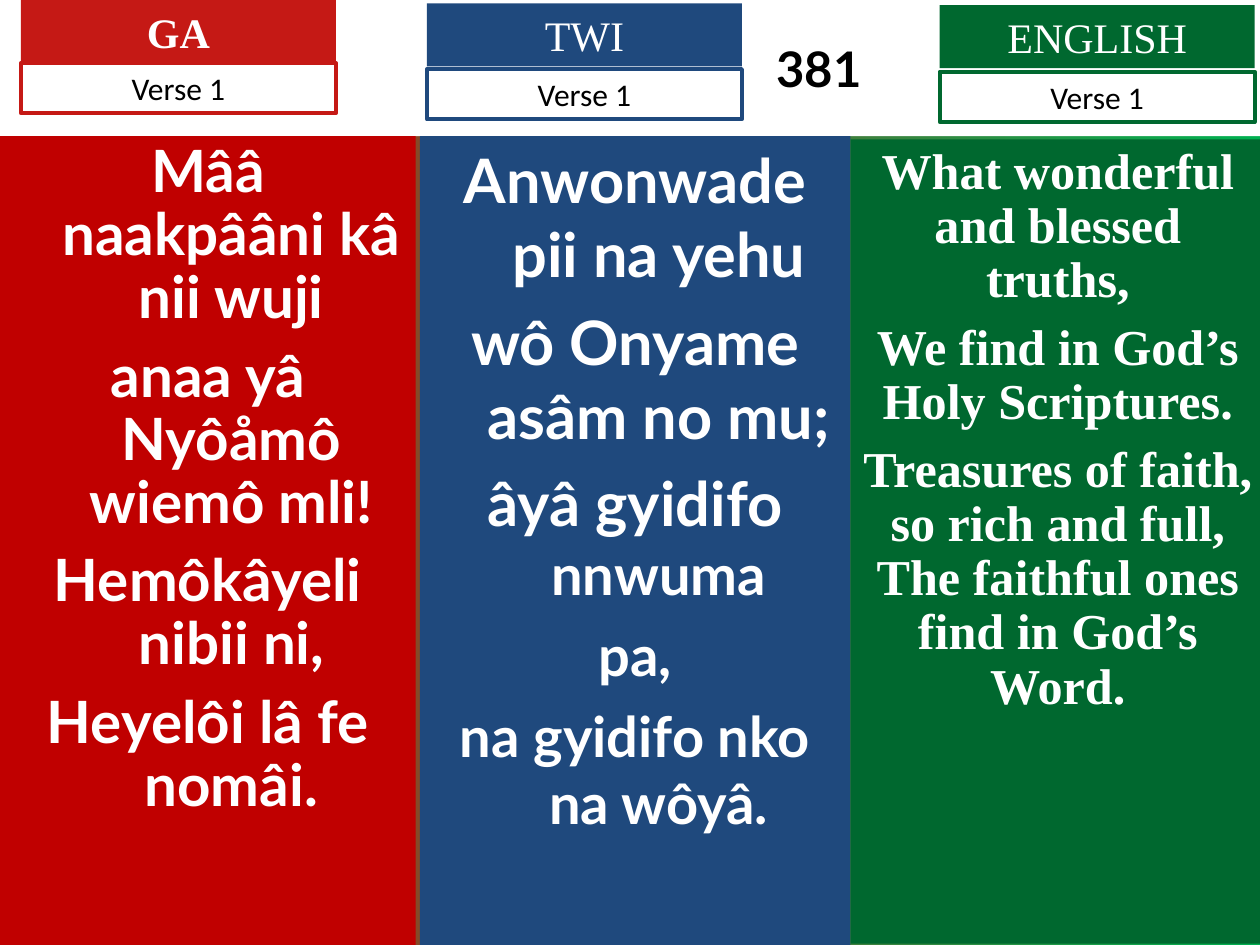
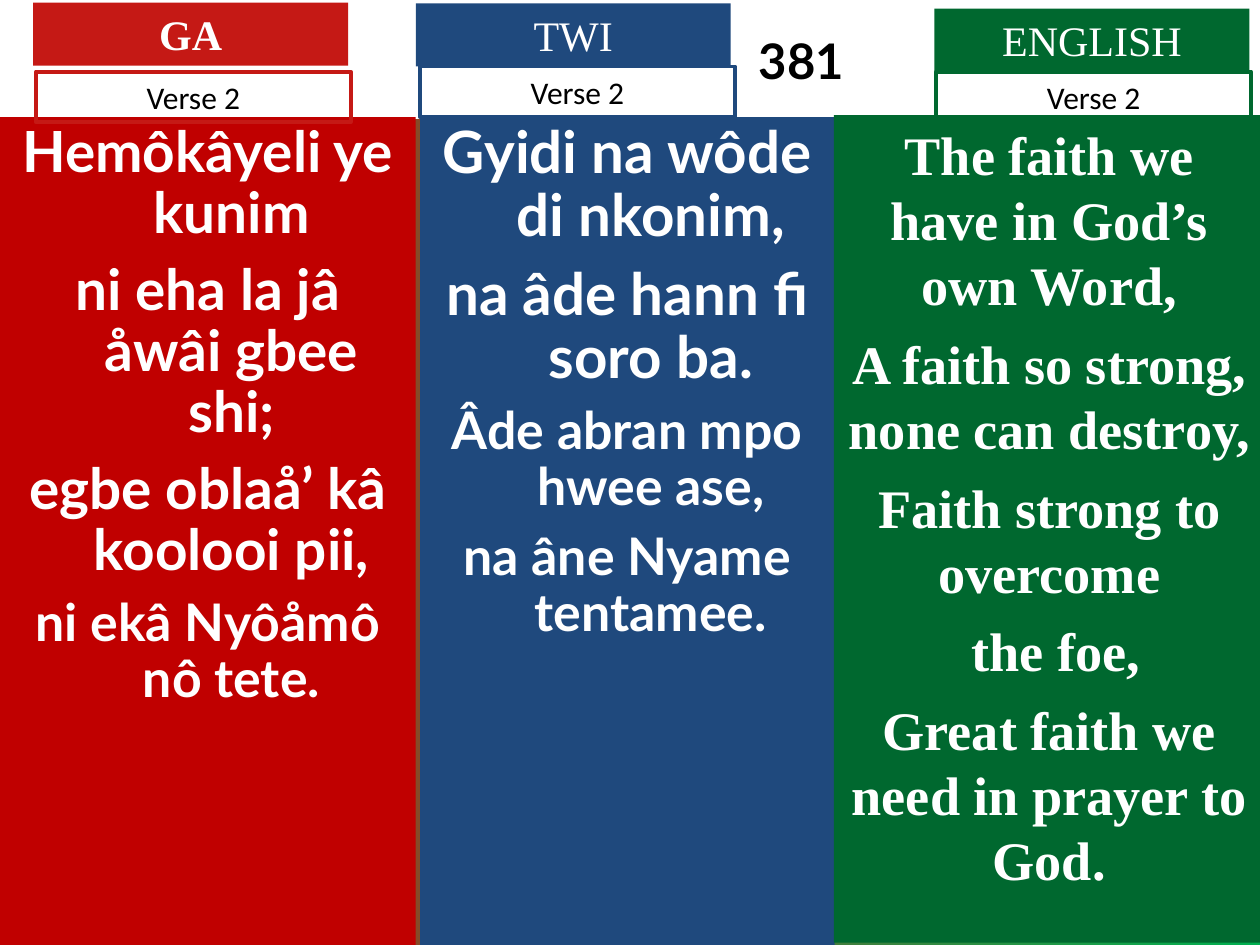
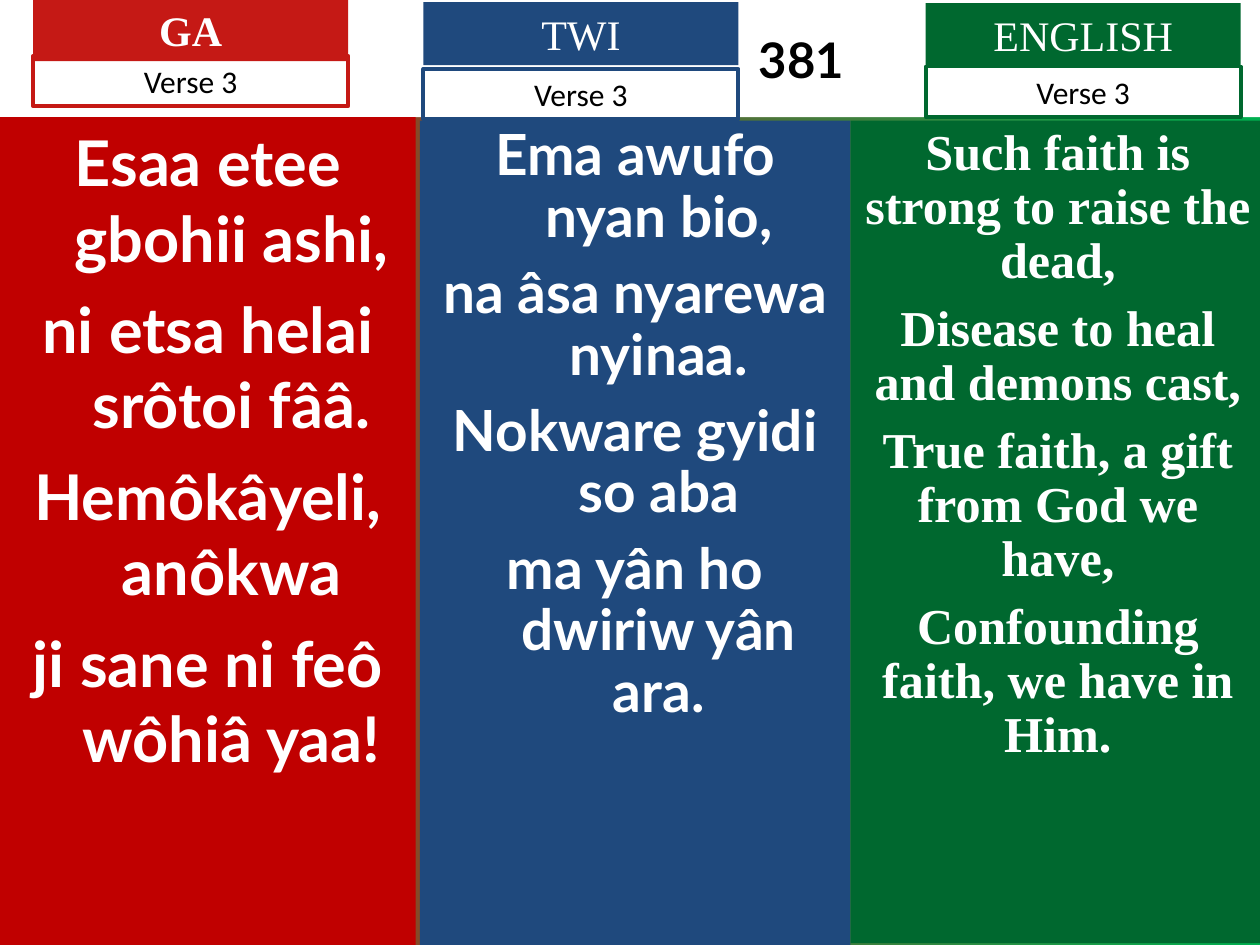
import dataclasses

import pptx
import pptx.dml.color
import pptx.enum.shapes
import pptx.enum.text
import pptx.util

Pt = pptx.util.Pt
WIDTH, HEIGHT = 720, 540
HANG = 27
COLORS = {
    "red": "C51915", "deep": "C00000", "blue": "1F497D", "green": "00682F",
    "lime": "00B050", "white": "FFFFFF", "black": "000000",
}


@dataclasses.dataclass(frozen=True)
class Box:
    left: float
    top: float
    width: float
    height: float


@dataclasses.dataclass(frozen=True)
class Font:
    name: str
    size: float
    color: str = "white"
    bold: bool = False


@dataclasses.dataclass(frozen=True)
class Line:
    runs: tuple[tuple[str, float], ...]
    gap: float


@dataclasses.dataclass(frozen=True)
class Tongue:
    name: str
    fill: str
    tag: str
    face: str
    hang: float = 0
    bold: bool = False


@dataclasses.dataclass(frozen=True)
class Panel:
    box: Box
    head: tuple[float, float]
    verse: tuple[float, float]
    lines: list[Line]
    pitch: float = 0.9


@dataclasses.dataclass(frozen=True)
class Page:
    verse: int
    band: float
    center: float
    panels: tuple[Panel, ...]


TONGUES = (
    Tongue("GA", "deep", "red", "Lato", HANG, True),
    Tongue("TWI", "blue", "blue", "Lato", HANG),
    Tongue("ENGLISH", "green", "green", "Times New Roman"),
)


def stanza(size: float, gap: float, *texts: str) -> list[Line]:
    return [Line(((text, size),), gap) for text in texts]


PAGES = (
    Page(1, 77.76, 468, (
        Panel(Box(0, 77.76, 237.6, 462.24), (12, 0), (12, 36),
              stanza(33.3, 9, "Mââ naakpââni kâ nii wuji", "anaa yâ Nyôåmô wiemô mli!",
                     "Hemôkâyeli nibii ni,", "Heyelôi lâ fe nomâi.")),
        Panel(Box(240, 77.76, 246, 462.24), (244, 2), (244, 39.5),
              stanza(35, 8.8, "Anwonwade pii na yehu", "wô Onyame asâm no mu;")
              + [Line((("âyâ gyidifo ", 35), ("nnwuma", 32)), 8)]
              + stanza(32, 8, "pa,", "na gyidifo nko na wôyâ."), 1),
        Panel(Box(486, 79.75, 237, 459.5), (537, 3), (537, 41),
              stanza(28.7, 7.7, "What wonderful and blessed truths,",
                     "We find in God’s Holy Scriptures.",
                     "Treasures of faith, so rich and full, "
                     "The faithful ones find in God’s Word.")),
    )),
    Page(2, 68, 458, (
        Panel(Box(0, 67, 237.6, 473), (19, 1.5), (20.5, 41),
              stanza(32.4, 8.8, "Hemôkâyeli ye kunim", "ni eha la jâ åwâi gbee shi;",
                     "egbe oblaå’ kâ koolooi pii,")
              + stanza(29.6, 8, "ni ekâ Nyôåmô nô tete.")),
        Panel(Box(240, 67, 237, 473), (237.6, 2), (240, 38),
              stanza(33.3, 9, "Gyidi na wôde di nkonim,", "na âde hann fi soro ba.")
              + stanza(29.6, 8, "Âde abran mpo hwee ase,", "na âne Nyame tentamee.")),
        Panel(Box(476.6, 65.75, 246, 473), (534, 5), (535, 41),
              stanza(31, 7.7, "The faith we have in God’s own Word,",
                     "A faith so strong, none can destroy,", "Faith strong to overcome",
                     " the foe,", "Great faith we need in prayer to God."), 1),
    )),
    Page(3, 67, 458, (
        Panel(Box(0, 67, 237.6, 473), (19, -1), (19, 32),
              stanza(36, 9, "Esaa etee gbohii ashi,", "ni etsa helai srôtoi fââ.",
                     "Hemôkâyeli, anôkwa", "ji sane ni feô wôhiâ yaa!"), 1),
        Panel(Box(240, 69, 246, 471), (242, 1.25), (242, 39.5),
              stanza(32.4, 8.8, "Ema awufo nyan bio,", "na âsa nyarewa nyinaa.",
                     "Nokware gyidi so aba", "ma yân ho dwiriw yân ara.")),
        Panel(Box(486, 69, 237, 470), (529, 1.75), (529, 38),
              stanza(28.7, 7.7, "Such faith is strong to raise the dead,",
                     "Disease to heal and demons cast,",
                     "True faith, a gift from God we have,",
                     "Confounding faith, we have in Him.")),
    )),
)


def tint(name: str) -> pptx.dml.color.RGBColor:
    return pptx.dml.color.RGBColor.from_string(COLORS[name])


def style(run, font: Font) -> None:
    run.font.name = font.name
    run.font.size = Pt(font.size)
    run.font.bold = font.bold
    run.font.color.rgb = tint(font.color)


def block(slide, box: Box, fill: str = "", edge: str = ""):
    """Draw a rectangle whose text starts at its top."""
    shape = slide.shapes.add_shape(
        pptx.enum.shapes.MSO_SHAPE.RECTANGLE,
        *(Pt(n) for n in dataclasses.astuple(box)))
    shape.shadow.inherit = False
    if fill:
        shape.fill.solid()
        shape.fill.fore_color.rgb = tint(fill)
    else:
        shape.fill.background()
    if edge:
        shape.line.color.rgb = tint(edge)
        shape.line.width = Pt(2.25)
    else:
        shape.line.fill.background()
    shape.text_frame.word_wrap = True
    shape.text_frame.vertical_anchor = pptx.enum.text.MSO_ANCHOR.TOP
    return shape


def label(shape, text: str, font: Font) -> None:
    shape.text_frame.text = text
    para = shape.text_frame.paragraphs[0]
    para.alignment = pptx.enum.text.PP_ALIGN.CENTER
    style(para.runs[0], font)


def lyrics(frame, panel: Panel, tongue: Tongue) -> None:
    for i, line in enumerate(panel.lines):
        para = frame.add_paragraph() if i else frame.paragraphs[0]
        para.alignment = pptx.enum.text.PP_ALIGN.CENTER
        para.line_spacing = panel.pitch
        if i:
            para.space_before = Pt(line.gap)
        if tongue.hang:
            props = para._p.get_or_add_pPr()
            props.set("marL", str(Pt(tongue.hang)))
            props.set("indent", str(Pt(-tongue.hang)))
        for text, size in line.runs:
            run = para.add_run()
            run.text = text
            style(run, Font(tongue.face, size, bold=True))


def column(slide, panel: Panel, tongue: Tongue, verse: int) -> None:
    lyrics(block(slide, panel.box, tongue.fill).text_frame, panel, tongue)
    label(block(slide, Box(*panel.head, 180, 36), tongue.tag), tongue.name,
          Font("Times New Roman", 24, bold=tongue.bold))
    label(block(slide, Box(*panel.verse, 180, 28.8), edge=tongue.tag),
          f"Verse {verse}", Font("Calibri", 18, "black"))


def title(slide, page: Page) -> None:
    """Draw the white band with the hymn number centred on page.center."""
    band = block(slide, Box(0, 0, WIDTH, page.band), "white")
    frame = band.text_frame
    frame.vertical_anchor = pptx.enum.text.MSO_ANCHOR.MIDDLE
    frame.margin_left = Pt(2 * page.center - WIDTH)
    frame.margin_right = 0
    label(band, "381", Font("Lato", 28, "black", True))


def backdrop(slide) -> None:
    fill = slide.background.fill
    fill.gradient()
    fill.gradient_angle = 0
    for stop, name in zip(fill.gradient_stops, ("red", "lime")):
        stop.color.rgb = tint(name)


def main() -> None:
    deck = pptx.Presentation()
    deck.slide_width, deck.slide_height = Pt(WIDTH), Pt(HEIGHT)
    for page in PAGES:
        slide = deck.slides.add_slide(deck.slide_layouts[6])
        backdrop(slide)
        title(slide, page)
        for panel, tongue in zip(page.panels, TONGUES):
            column(slide, panel, tongue, page.verse)
    deck.save("out.pptx")


if __name__ == "__main__":
    main()
